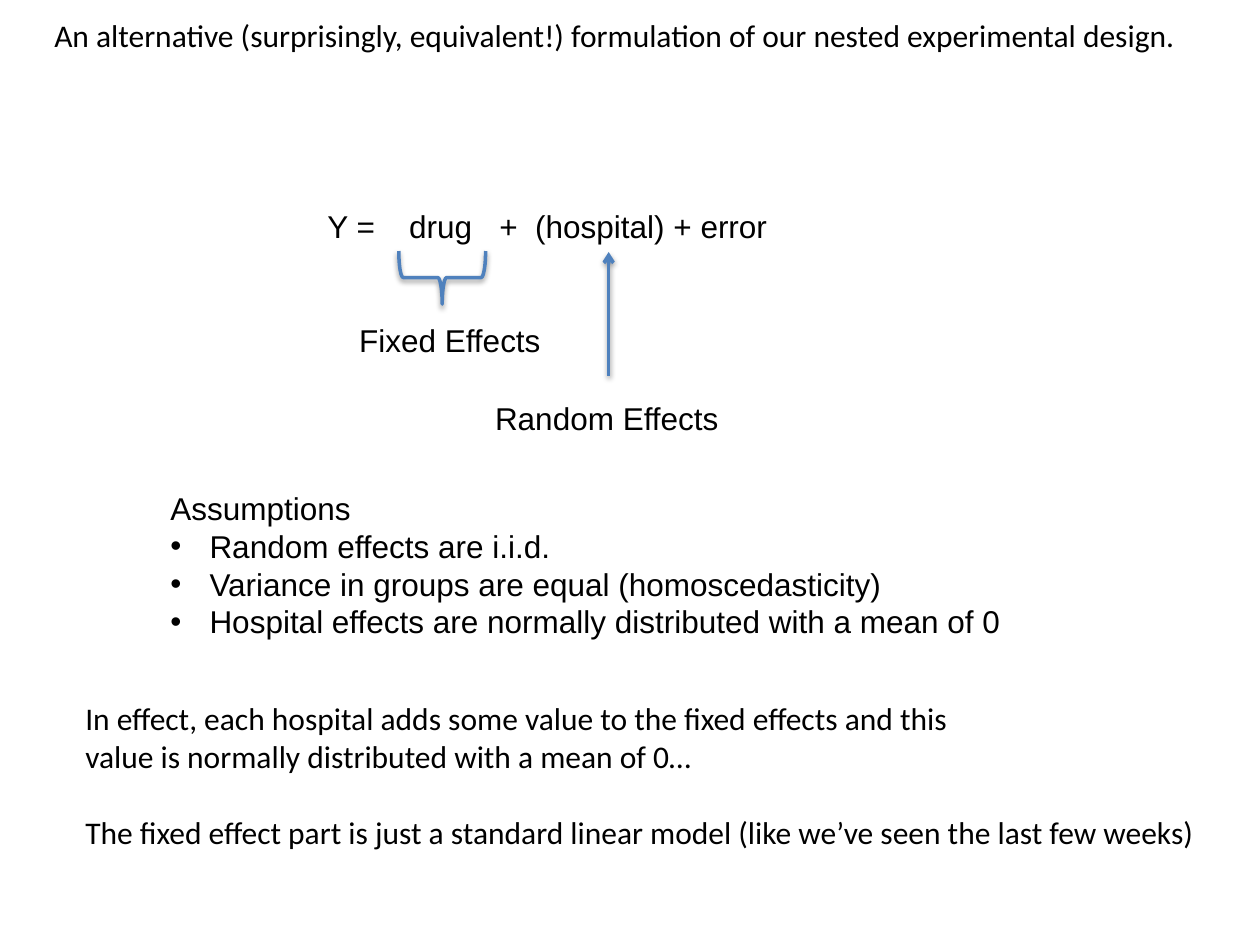
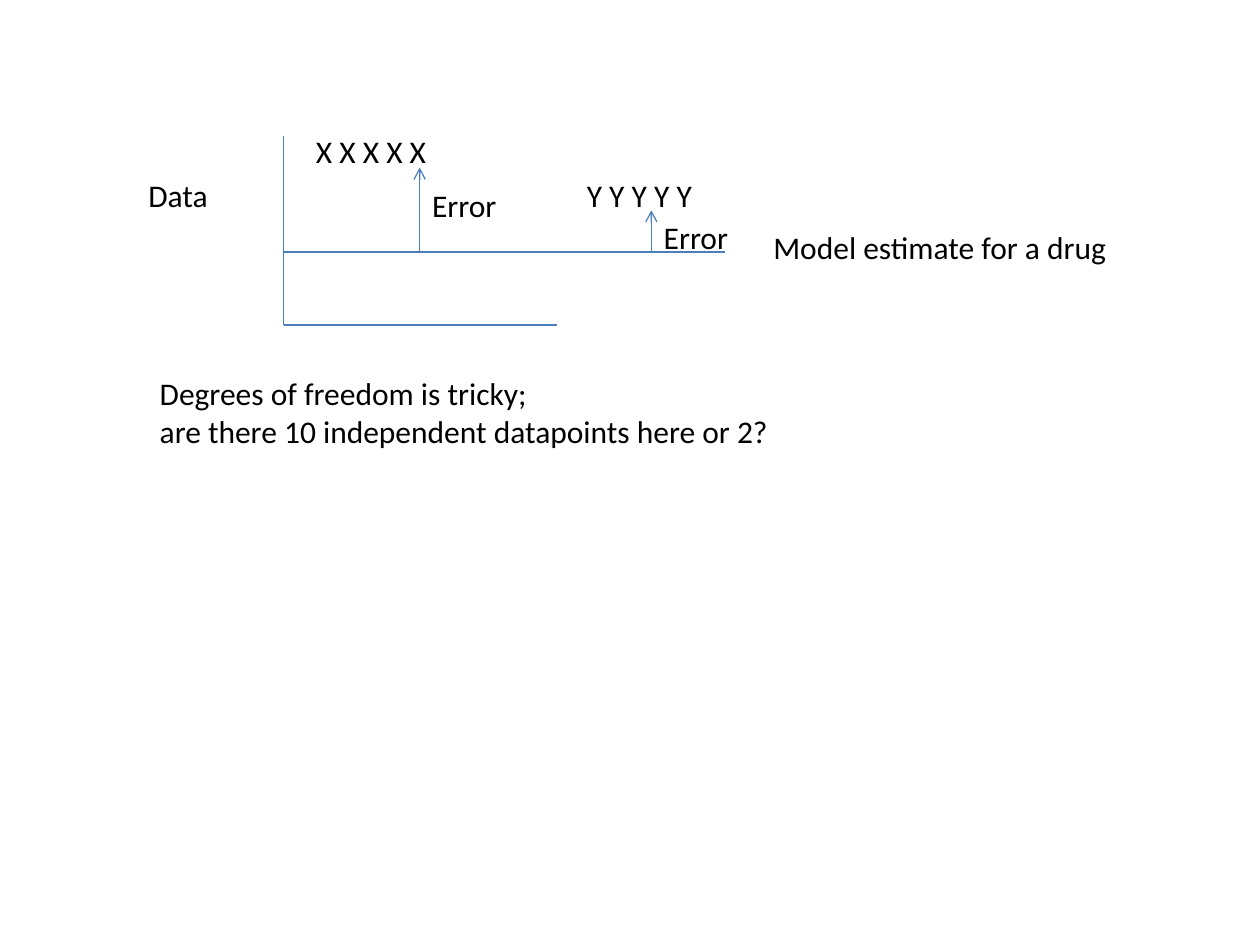
"""Builds two slides on a nested experimental design with random effects."""
from dataclasses import dataclass

from lxml.etree import SubElement
from pptx import Presentation
from pptx.dml.color import RGBColor
from pptx.enum.shapes import MSO_CONNECTOR, MSO_SHAPE
from pptx.enum.text import MSO_ANCHOR, MSO_AUTO_SIZE, PP_ALIGN
from pptx.oxml.ns import qn
from pptx.util import Cm, Pt

BLACK = RGBColor(0x00, 0x00, 0x00)
BLUE = RGBColor(0x4F, 0x81, 0xBD)
PLOT_BLUE = RGBColor(0x4B, 0x7E, 0xBC)
SERIF_FREE, BODY_FONT = "Arial", "Calibri"
LINE_H = 1.02
INDENT = Cm(0.79)
AXIS_X, AXIS_Y, ESTIMATE_Y = 5.72, 6.55, 5.08


@dataclass
class Label:
    text: str
    x: float
    y: float
    w: float
    h: float = LINE_H
    font: str = BODY_FONT


@dataclass
class Line:
    x1: float
    y1: float
    x2: float
    y2: float
    arrow: bool = False
    color: RGBColor = PLOT_BLUE
    width: float = 0.75
    shadow: bool = False


MODEL_LABELS = [
    Label("Y =\tdrug\t+\t(hospital) + error", 6.35, 4.04, 9.63, font=SERIF_FREE),
    Label("Random Effects", 9.73, 7.92, 5.05, font=SERIF_FREE),
    Label("Fixed Effects", 6.99, 6.35, 4.22, font=SERIF_FREE),
]
TITLE = Label("An alternative (surprisingly, equivalent!) formulation of our nested "
              "experimental design.", 0.84, 0.2, 23.39)
ASSUMPTIONS = Label("Assumptions\nRandom effects are i.i.d.\n"
                    "Variance in groups are equal (homoscedasticity)\n"
                    "Hospital effects are normally distributed with a mean of 0",
                    3.18, 9.73, 17.4, 3.33, SERIF_FREE)
SUMMARY = Label("In effect, each hospital adds some value to the fixed effects and this\n"
                "value is normally distributed with a mean of 0…\n"
                "The fixed effect part is just a standard linear model "
                "(like we’ve seen the last few weeks)", 1.47, 13.97, 22.96, 3.33)
PLOT_LABELS = [
    Label("X X X X X", 6.12, 2.54, 2.77),
    Label("Data", 2.74, 3.43, 1.73),
    Label("Model estimate for a drug", 15.34, 4.47, 7.32),
    Label("Error", 8.46, 3.63, 1.83),
    Label("Y Y Y Y Y", 11.58, 3.43, 2.79),
    Label("Error", 13.13, 4.27, 1.83),
    Label("Degrees of freedom is tricky;\nare there 10 independent datapoints here or 2?",
          2.97, 7.42, 12.93, 1.8),
]
PLOT_LINES = [
    Line(AXIS_X, 2.74, AXIS_X, AXIS_Y),
    Line(AXIS_X, AXIS_Y, 11.23, AXIS_Y),
    Line(AXIS_X, ESTIMATE_Y, 14.61, ESTIMATE_Y),
    Line(8.46, ESTIMATE_Y, 8.46, 3.38, arrow=True),
    Line(13.13, ESTIMATE_Y, 13.13, 4.24, arrow=True),
]


def write_text(sp, text: str, *, font: str = BODY_FONT, size: float = 18,
               color: RGBColor = BLACK, bullets_from: int | None = None,
               gap_before: int | None = None, tabs: tuple[float, ...] = ()) -> None:
    """Fill a shape with formatted paragraphs, one for each line of text."""
    tf = sp.text_frame
    tf.word_wrap = False
    tf.auto_size = MSO_AUTO_SIZE.SHAPE_TO_FIT_TEXT
    tf.vertical_anchor = MSO_ANCHOR.TOP
    for i, line in enumerate(text.split("\n")):
        p = tf.paragraphs[0] if i == 0 else tf.add_paragraph()
        pPr = p._p.get_or_add_pPr()
        if bullets_from is not None:
            bulleted = i >= bullets_from
            pPr.set("marL", str(INDENT if bulleted else 0))
            pPr.set("indent", str(-INDENT if bulleted else 0))
            if bulleted:
                SubElement(pPr, qn("a:buFont"), typeface="Arial")
                SubElement(pPr, qn("a:buChar"), char="•")
            else:
                SubElement(pPr, qn("a:buNone"))
        if tabs:
            tab_list = SubElement(pPr, qn("a:tabLst"))
            for pos in tabs:
                SubElement(tab_list, qn("a:tab"), pos=str(Cm(pos)), algn="l")
        p.alignment = PP_ALIGN.LEFT
        p.space_before = Pt(22 if i == gap_before else 0)
        r = p.add_run()
        r.text = line
        r.font.name, r.font.size = font, Pt(size)
        r.font.color.rgb = color


def add_label(slide, label: Label, sp=None, **fmt) -> None:
    """Write a label into a placeholder or a new text box."""
    box = Cm(label.x), Cm(label.y), Cm(label.w), Cm(label.h)
    if sp is None:
        sp = slide.shapes.add_textbox(*box)
    else:
        sp.left, sp.top, sp.width, sp.height = box
    write_text(sp, label.text, font=label.font, **fmt)


def set_shadow(sp, visible: bool) -> None:
    """Give a shape a soft shadow below it, or none."""
    effects = SubElement(sp._element.spPr, qn("a:effectLst"))
    if visible:
        shadow = SubElement(effects, qn("a:outerShdw"), blurRad=str(Pt(3.1)),
                            dist=str(Pt(1.6)), dir="5400000", rotWithShape="0")
        clr = SubElement(shadow, qn("a:srgbClr"), val=str(BLACK))
        SubElement(clr, qn("a:alpha"), val="38000")


def set_line(sp, color: RGBColor, width: float) -> None:
    """Set the colour and width of an outline."""
    sp.line.color.rgb = color
    sp.line.width = Pt(width)


def add_line(slide, line: Line) -> None:
    """Draw a straight line, with an arrowhead at its end if asked."""
    sp = slide.shapes.add_connector(MSO_CONNECTOR.STRAIGHT, Cm(line.x1), Cm(line.y1),
                                    Cm(line.x2), Cm(line.y2))
    set_line(sp, line.color, line.width)
    if line.arrow:
        SubElement(sp.line._get_or_add_ln(), qn("a:tailEnd"), type="arrow")
    set_shadow(sp, line.shadow)


def add_brace(slide) -> None:
    """Draw the brace under the fixed effect, opening upwards."""
    sp = slide.shapes.add_shape(MSO_SHAPE.LEFT_BRACE, Cm(8.38), Cm(4.72), Cm(1.07), Cm(1.75))
    sp.rotation = 270
    sp.fill.background()
    set_line(sp, BLUE, 2)
    set_shadow(sp, True)


def build_model_slide(prs) -> None:
    """Build the slide with the model formula and its assumptions."""
    slide = prs.slides.add_slide(prs.slide_layouts[1])
    add_label(slide, TITLE, slide.shapes.title)
    equation, *effects = MODEL_LABELS
    add_label(slide, equation, tabs=(1.65, 3.47, 4.19))
    add_line(slide, Line(12.27, 7.57, 12.27, 5.08, arrow=True, color=BLUE, width=2, shadow=True))
    add_brace(slide)
    for label in effects:
        add_label(slide, label)
    add_label(slide, ASSUMPTIONS, slide.placeholders[1], bullets_from=1)
    add_label(slide, SUMMARY, gap_before=2)


def build_plot_slide(prs) -> None:
    """Build the slide with the sketch of data, estimate and errors."""
    slide = prs.slides.add_slide(prs.slide_layouts[6])
    for line in PLOT_LINES:
        add_line(slide, line)
    for label in PLOT_LABELS:
        add_label(slide, label)


def main() -> None:
    """Build and save the presentation."""
    prs = Presentation()
    prs.slide_width, prs.slide_height = Cm(25.4), Cm(19.05)
    build_model_slide(prs)
    build_plot_slide(prs)
    prs.save("out.pptx")


if __name__ == "__main__":
    main()
